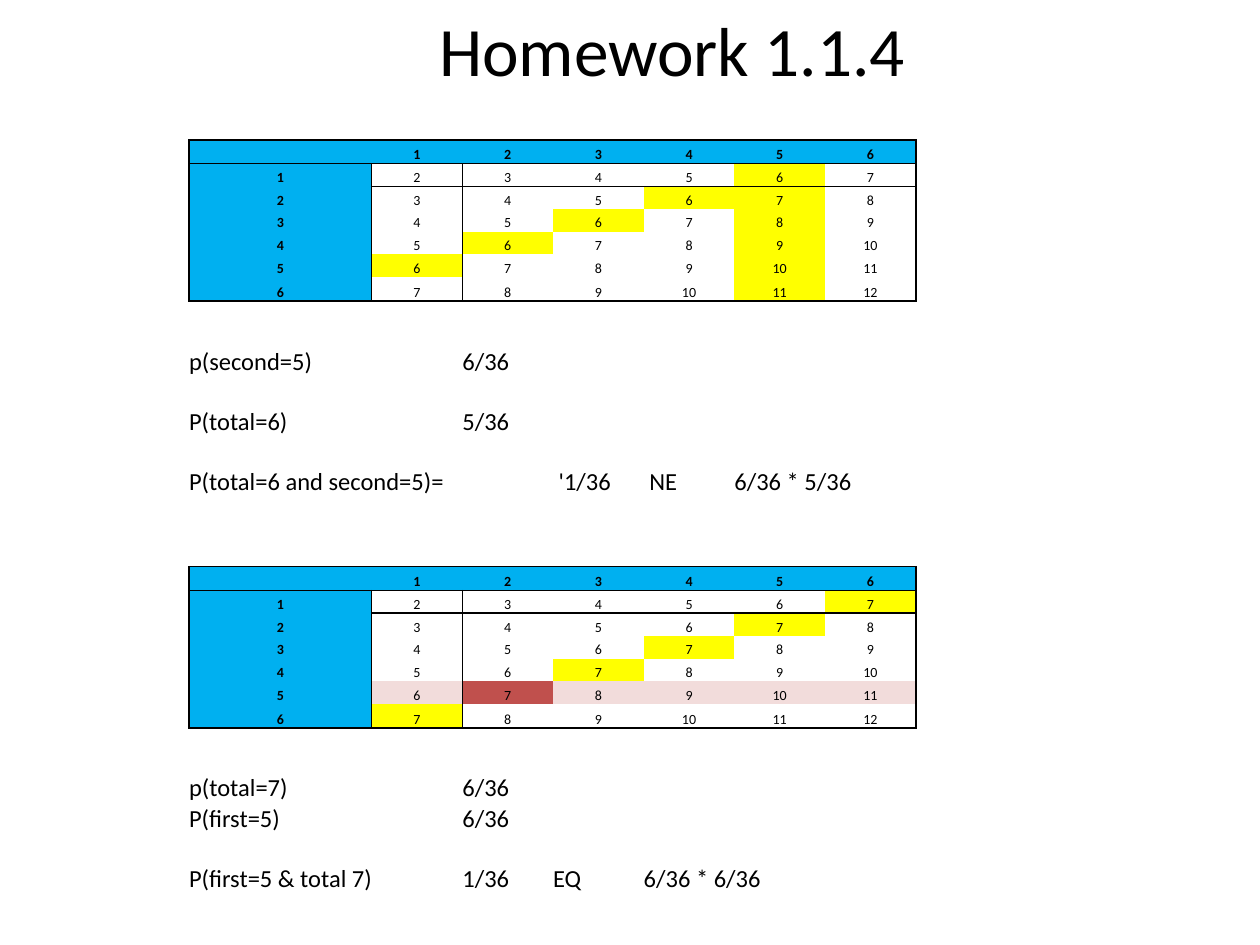
"""Build the Homework 1.1.4 slide: two dice-total grids with probability notes in one table."""
from lxml.etree import SubElement
from pptx import Presentation
from pptx.dml.color import RGBColor
from pptx.enum.text import MSO_ANCHOR, MSO_AUTO_SIZE, PP_ALIGN
from pptx.oxml.ns import qn
from pptx.util import Inches, Pt

TITLE = "Homework 1.1.4"
FONT = "Calibri"
COLORS = {
    "text": "000000", "header": "00B0F0", "plain": "FFFFFF",
    "event": "FFFF00", "row": "F2DCDB", "both": "C0504D",
}
NO_STYLE = "{2D5ABB26-0587-4C30-8999-92F81FD0307C}"
FACES = 6
COLUMNS = [1.45] + [0.72] * FACES
ROW_COUNT = 31
ROW, EDGE_ROW, NOTE_ROW = 0.18, 0.19, 0.24
GRID_STARTS = {"second is 5": 1, "first is 5": 18}
NOTE_ROWS = [*range(10, 15), *range(27, 31)]
NOTES = [
    (10, 0, 2, "p(second=5)"), (10, 2, 1, "6/36"),
    (12, 0, 2, "P(total=6)"), (12, 2, 1, "5/36"),
    (14, 0, 3, "P(total=6 and second=5)="), (14, 3, 1, " '1/36"),
    (14, 4, 1, " NE"), (14, 5, 2, "6/36 * 5/36"),
    (27, 0, 2, "p(total=7)"), (27, 2, 1, "6/36"),
    (28, 0, 1, "P(first=5)"), (28, 2, 1, "6/36"),
    (30, 0, 2, "P(first=5 & total 7)"), (30, 2, 1, "1/36"),
    (30, 3, 1, "EQ"), (30, 4, 2, "6/36 * 6/36"),
]


def rgb(name):
    return RGBColor.from_string(COLORS[name])


def fill_name(grid, first, second):
    if not first or not second:
        return "header"
    total = first + second
    if grid == "second is 5":
        return "event" if total == 6 or second == 5 else "plain"
    if first == 5:
        return "both" if total == 7 else "row"
    return "event" if total == 7 else "plain"


def border_sides(first, second):
    rules = {
        "L": second == 0 or (second == 1 and first > 0),
        "R": second == FACES or (second == 0 and first > 0),
        "T": first == 0 or (first == 1 and second > 0),
        "B": first == FACES or (first == 0 and second > 0),
    }
    return [side for side, drawn in rules.items() if drawn]


def add_borders(cell, sides):
    properties = cell._tc.get_or_add_tcPr()
    for index, side in enumerate(sides):
        line = SubElement(properties, qn(f"a:ln{side}"), w=str(Pt(1)))
        solid = SubElement(line, qn("a:solidFill"))
        SubElement(solid, qn("a:srgbClr"), val=COLORS["text"])
        properties.insert(index, line)


def write(cell, text, size, bold=False, align=PP_ALIGN.LEFT):
    paragraph = cell.text_frame.paragraphs[0]
    paragraph.alignment = align
    run = paragraph.add_run()
    run.text = text
    run.font.name, run.font.size, run.font.bold = FONT, Pt(size), bold
    run.font.color.rgb = rgb("text")


def clear_table(table):
    table.first_row = table.horz_banding = False
    table._tbl.tblPr.find(qn("a:tableStyleId")).text = NO_STYLE
    for column, width in zip(table.columns, COLUMNS):
        column.width = Inches(width)
    edges = {start + step for start in GRID_STARTS.values() for step in (-1, 0, FACES)}
    for index, row in enumerate(table.rows):
        height = NOTE_ROW if index in NOTE_ROWS else EDGE_ROW if index in edges else ROW
        row.height = Inches(height)
    for cell in table.iter_cells():
        cell.margin_left = cell.margin_right = cell.margin_top = cell.margin_bottom = 0
        cell.vertical_anchor = MSO_ANCHOR.BOTTOM
        cell.fill.background()
        end = SubElement(cell.text_frame.paragraphs[0]._p, qn("a:endParaRPr"))
        end.set("sz", "800")


def fill_grid(table, grid, start):
    for first in range(FACES + 1):
        for second in range(FACES + 1):
            cell = table.cell(start + first, second)
            cell.fill.solid()
            cell.fill.fore_color.rgb = rgb(fill_name(grid, first, second))
            add_borders(cell, border_sides(first, second))
            if first or second:
                header = not (first and second)
                write(cell, str(first + second), 8, header, PP_ALIGN.CENTER)


def main():
    presentation = Presentation()
    presentation.slide_width, presentation.slide_height = Inches(10), Inches(7.5)
    slide = presentation.slides.add_slide(presentation.slide_layouts[5])

    title = slide.shapes.title
    title.left, title.top = Inches(0.67), 0
    title.width, title.height = Inches(9.33), Inches(0.78)
    title.text_frame.auto_size = MSO_AUTO_SIZE.NONE
    title.text_frame.vertical_anchor = MSO_ANCHOR.MIDDLE
    write(title, TITLE, 39.6, align=PP_ALIGN.CENTER)

    table = slide.shapes.add_table(
        ROW_COUNT, len(COLUMNS), Inches(1.5), Inches(0.92), Inches(5.75), Inches(6.13)
    ).table
    clear_table(table)
    for grid, start in GRID_STARTS.items():
        fill_grid(table, grid, start)
    for row, column, span, text in NOTES:
        cell = table.cell(row, column)
        if span > 1:
            cell.merge(table.cell(row, column + span - 1))
        write(cell, text, 14)

    presentation.save("out.pptx")


if __name__ == "__main__":
    main()
